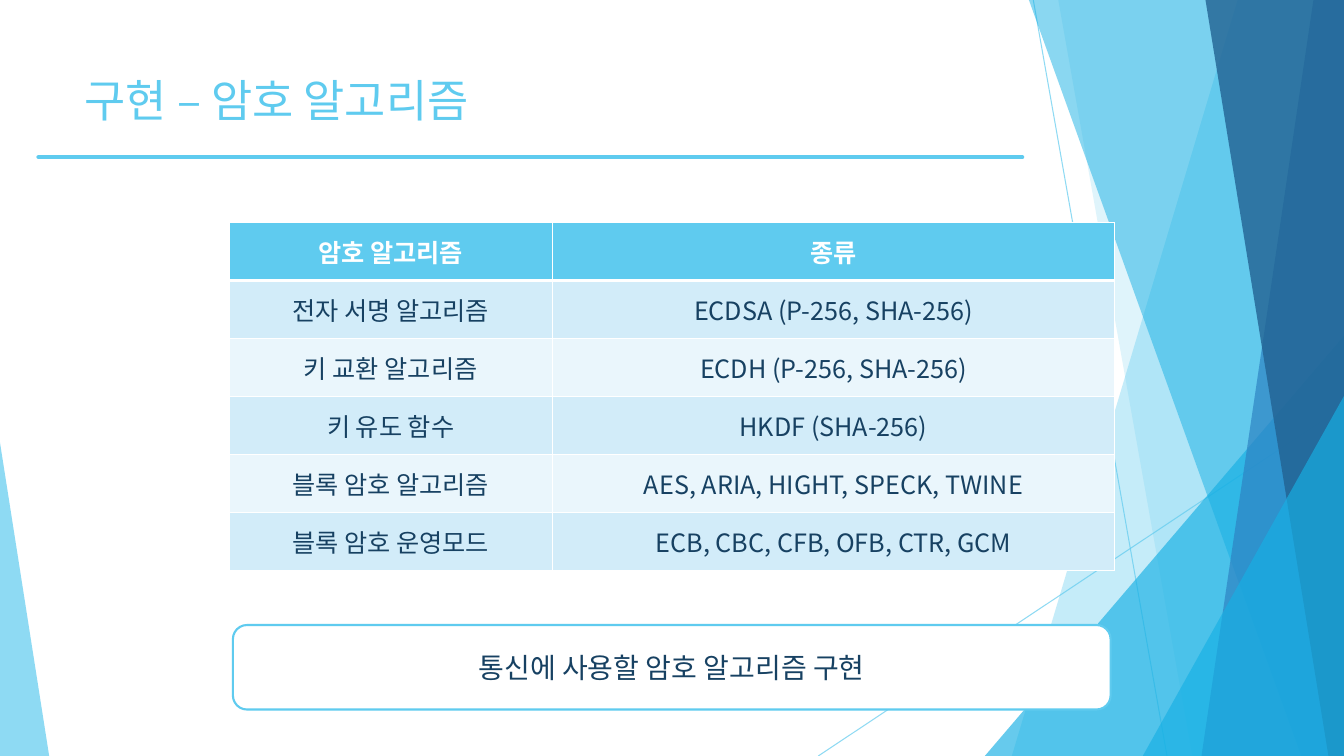
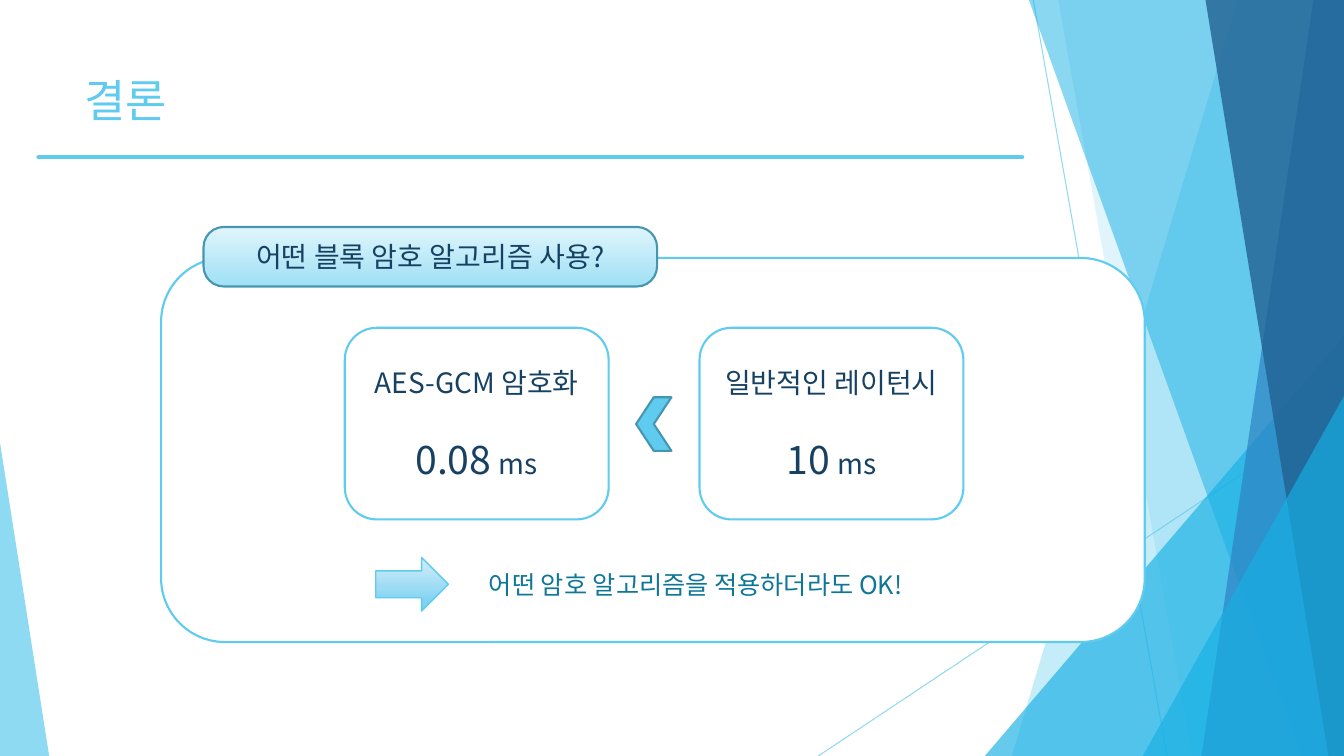
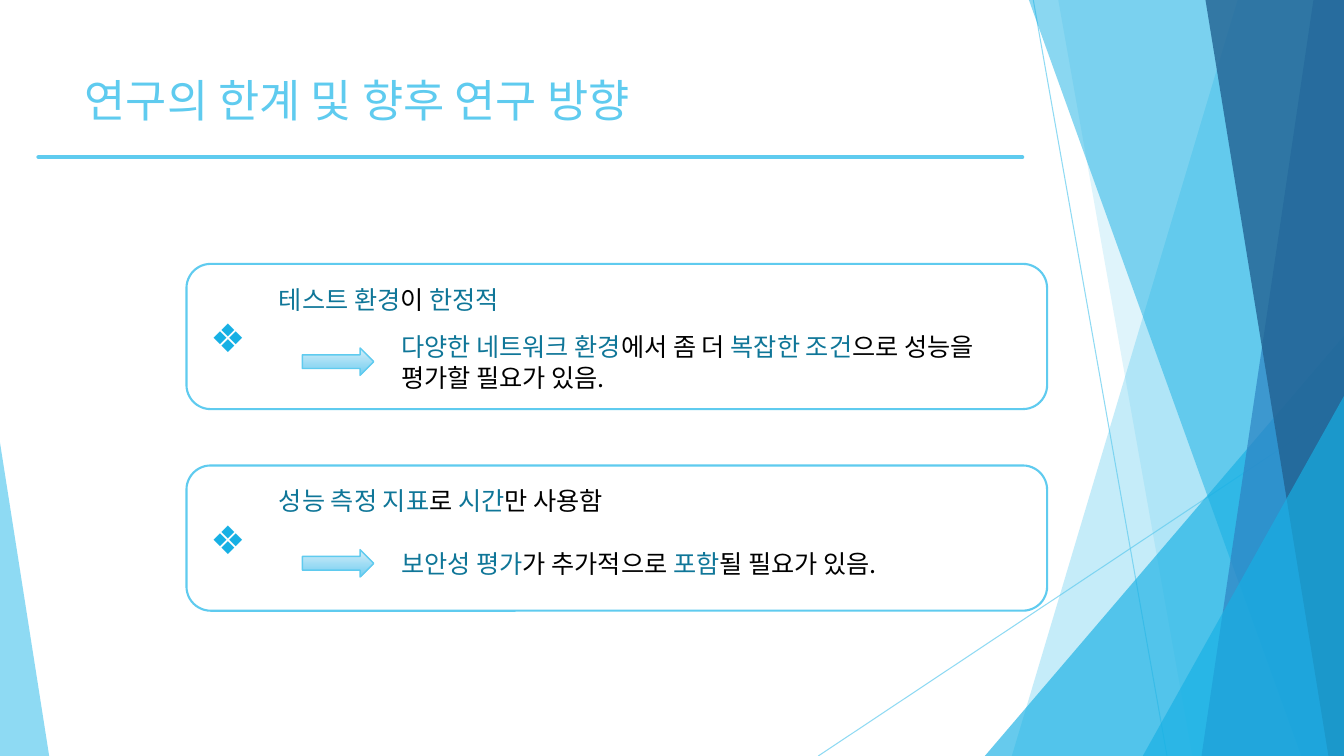
from lxml import etree
from pptx import Presentation
from pptx import util as u
from pptx.dml.color import RGBColor
from pptx.enum import shapes, text
from pptx.oxml.ns import qn

FONT = "Noto Sans CJK KR"
SKY, CYAN, NAVY, TEAL = "5FCBEF", "17B0E4", "174162", "0F7698"
WHITE, BLACK, EDGE = "FFFFFF", "000000", "4696B1"
ARROW_FILL = [(0, "D4EEF9"), (0.88, "7DD1F1")]
TAG_FILL = [(0, "DFF5FC"), (1, "9FE0F5")]
WIDTH, HEIGHT = 33.87, 19.05
S = shapes.MSO_SHAPE


def rgb(code):
    """Turn a hex string into a colour."""
    return RGBColor.from_string(code)


def cm(*values):
    """Turn numbers into centimetre lengths."""
    return [u.Cm(v) for v in values]


def set_alpha(sp, percent):
    """Make every colour of a shape partly transparent."""
    for clr in sp.element.spPr.iter(qn("a:srgbClr")):
        etree.SubElement(clr, qn("a:alpha")).set("val", str(percent * 1000))


def set_font(font, size=None, color=None, name=None, bold=None):
    """Set the given font properties, for Latin and Hangul alike."""
    if size:
        font.size = u.Pt(size)
    if color:
        font.color.rgb = rgb(color)
    if bold is not None:
        font.bold = bold
    if name:
        font.name = name
        etree.SubElement(font._element, qn("a:ea")).set("typeface", name)


def write(p, content, size, color=None, name=FONT, bold=None, align=None):
    """Fill a paragraph with a string or with (text, font options) runs."""
    p.alignment = align
    set_font(p.font, size, color, name, bold)
    runs = [(content, {})] if isinstance(content, str) else content
    for words, options in runs:
        r = p.add_run()
        r.text = words
        set_font(r.font, **options)


def paint(sp, fill, line=None, weight=1.5):
    """Give a shape a solid or gradient fill and an outline."""
    sp.shadow.inherit = False
    if isinstance(fill, str):
        sp.fill.solid()
        sp.fill.fore_color.rgb = rgb(fill)
    else:
        sp.fill.gradient()
        sp.fill.gradient_angle = 270
        for stop, (position, color) in zip(sp.fill.gradient_stops, fill):
            stop.position = position
            stop.color.rgb = rgb(color)
    if line:
        sp.line.color.rgb = rgb(line)
        sp.line.width = u.Pt(weight)
    else:
        sp.line.fill.background()
    return sp


def add_preset(s, kind, box, fill, line=None, weight=1.5, adj=None):
    """Add a preset shape."""
    sp = paint(s.shapes.add_shape(kind, *cm(*box)), fill, line, weight)
    if adj is not None:
        sp.adjustments[0] = adj
    return sp


def add_card(s, box, content=None, fill=WHITE, line=SKY, adj=None):
    """Add a rounded box with an optional centred text."""
    sp = add_preset(s, S.ROUNDED_RECTANGLE, box, fill, line, adj=adj)
    if content:
        write(sp.text_frame.paragraphs[0], content, 20, NAVY, align=text.PP_ALIGN.CENTER)
    return sp


def add_text(s, box, content, size=18, color=None, name=FONT, anchor=text.MSO_ANCHOR.TOP):
    """Add a text box with one paragraph."""
    tf = s.shapes.add_textbox(*cm(*box)).text_frame
    tf.word_wrap = True
    tf.vertical_anchor = anchor
    write(tf.paragraphs[0], content, size, color, name)


def add_line(s, ends, weight):
    """Add a straight sky-blue line."""
    line = s.shapes.add_connector(shapes.MSO_CONNECTOR.STRAIGHT, *cm(*ends))
    line.line.color.rgb = rgb(SKY)
    line.line.width = u.Pt(weight)
    etree.SubElement(line.element.spPr, qn("a:effectLst"))
    return line


def add_facet(s, top_x, bottom_x, color, alpha):
    """Add a see-through facet that reaches the right edge of the slide."""
    builder = s.shapes.build_freeform(*cm(top_x, 0))
    corners = [(WIDTH, 0), (WIDTH, HEIGHT), (bottom_x, HEIGHT)]
    builder.add_line_segments([cm(*corner) for corner in corners])
    set_alpha(paint(builder.convert_to_shape(), color), alpha)


def add_wedge(s, box, adj, color, alpha):
    """Add a see-through triangle."""
    set_alpha(add_preset(s, S.ISOSCELES_TRIANGLE, box, color, adj=adj), alpha)


def build_layout(layout, s):
    """Draw the shared decoration on a slide and move it to its layout."""
    for ends in [(26.04, 0, 29.41, HEIGHT), (WIDTH, 10.24, 20.62, HEIGHT)]:
        set_alpha(add_line(s, ends, 0.75), 70)
    add_facet(s, 31.19, 25.5, SKY, 36)
    add_facet(s, 26.67, 30.05, SKY, 20)
    add_wedge(s, (24.82, 8.46, 9.05, 10.59), 1, CYAN, 66)
    add_facet(s, 25.93, 32.79, CYAN, 50)
    add_facet(s, 33.1, 30.28, "2E83C3", 70)
    add_facet(s, 30.38, 33.48, "226292", 80)
    add_wedge(s, (28.8, 9.98, 5.07, 9.07), 1, CYAN, 66)
    add_wedge(s, (0, 11.15, 1.24, 7.9), 0, SKY, 70)
    rule = add_line(s, (0.97, 3.96, 25.76, 3.96), 3)
    rule.line._get_or_add_ln().set("cap", "rnd")
    decoration = [sp for sp in s.shapes if not sp.is_placeholder]
    for i, sp in enumerate(decoration):
        layout.shapes.element.insert(2 + i, sp.element)
    title = layout.placeholders[0]
    title.left, title.top, title.width, title.height = cm(1.88, 1.7, 23.88, 2.1)


def set_title(s, words):
    """Write the slide title."""
    tf = s.shapes.title.text_frame
    tf.vertical_anchor = text.MSO_ANCHOR.TOP
    tf.auto_size = text.MSO_AUTO_SIZE.NONE
    write(tf.paragraphs[0], words, 32, SKY, align=text.PP_ALIGN.LEFT)


def set_borders(cell, **widths):
    """Give a cell white borders, in points by side."""
    tcPr = cell._tc.get_or_add_tcPr()
    for i, side in enumerate("LRTB"):
        ln = etree.Element(qn("a:ln" + side), w=str(u.Pt(widths.get(side, 1))))
        fill = etree.SubElement(ln, qn("a:solidFill"))
        etree.SubElement(fill, qn("a:srgbClr")).set("val", WHITE)
        tcPr.insert(i, ln)


def add_grid(s, left, top, col_widths, row_height, rows):
    """Add a banded table with a header row."""
    box = cm(left, top, sum(col_widths), row_height * len(rows))
    table = s.shapes.add_table(len(rows), len(col_widths), *box).table
    for column, width in zip(table.columns, col_widths):
        column.width = u.Cm(width)
    for i, row in enumerate(rows):
        table.rows[i].height = u.Cm(row_height)
        header = i == 0
        for cell, words in zip(table.rows[i].cells, row):
            cell.fill.solid()
            cell.fill.fore_color.rgb = rgb(SKY if header else ("EAF6FC", "D2ECF9")[i % 2])
            cell.vertical_anchor = text.MSO_ANCHOR.MIDDLE
            set_borders(cell, T=3 if i == 1 else 1, B=3 if header else 1)
            write(cell.text_frame.paragraphs[0], words, 18, WHITE if header else NAVY,
                  bold=header, align=text.PP_ALIGN.CENTER)


def add_latency(s, left, label, value):
    """Add a card with a label and a time in milliseconds."""
    p = add_card(s, (left, 8.26, 6.65, 4.83), label).text_frame.add_paragraph()
    p.space_before = u.Pt(26)
    write(p, [(value, {"size": 28}), (" ", {"size": 24}), ("ms", {})], 20, NAVY,
          align=text.PP_ALIGN.CENTER)


def add_arrow(s, box):
    """Add a shaded arrow pointing right."""
    add_preset(s, S.RIGHT_ARROW, box, ARROW_FILL, SKY, 1)


def accent(*parts):
    """Colour parts teal and black in turn."""
    return [(part, {"color": (TEAL, BLACK)[i % 2]}) for i, part in enumerate(parts)]


def add_limit(s, top, limit, plan):
    """Add a card with a limitation and the work that follows from it."""
    add_card(s, (4.7, top, 21.69, 3.66))
    add_arrow(s, (7.62, top + 2.12, 1.8, 0.69))
    add_text(s, (6.78, top + 0.38, 14.99, 1.02), limit)
    add_text(s, (9.86, top + 1.57, 15.67, 1.8), plan, anchor=text.MSO_ANCHOR.MIDDLE)
    add_text(s, (5.05, top + 1.12, 1.4, 1.45), "❖", 28, CYAN, "Cabin")


def build_algorithms(s):
    """Build the slide on the algorithms in use."""
    set_title(s, "구현 – 암호 알고리즘")
    add_grid(s, 5.77, 5.61, (8.15, 14.17), 1.46, [
        ("암호 알고리즘", "종류"),
        ("전자 서명 알고리즘", "ECDSA (P-256, SHA-256)"),
        ("키 교환 알고리즘", "ECDH (P-256, SHA-256)"),
        ("키 유도 함수", "HKDF (SHA-256)"),
        ("블록 암호 알고리즘", "AES, ARIA, HIGHT, SPECK, TWINE"),
        ("블록 암호 운영모드", "ECB, CBC, CFB, OFB, CTR, GCM"),
    ])
    add_card(s, (5.87, 15.75, 22.12, 2.13), "통신에 사용할 암호 알고리즘 구현")


def build_conclusion(s):
    """Build the slide with the conclusion."""
    set_title(s, "결론")
    add_card(s, (4.06, 6.5, 24.79, 9.68))
    add_card(s, (5.13, 5.72, 11.43, 1.5), "어떤 블록 암호 알고리즘 사용?", TAG_FILL, EDGE, 0.34)
    chevron = add_preset(s, S.CHEVRON, (16.03, 10.01, 0.89, 1.35), SKY, EDGE)
    chevron.rotation = 180
    add_latency(s, 8.69, "AES-GCM 암호화", "0.08")
    add_latency(s, 17.63, "일반적인 레이턴시", "10")
    add_arrow(s, (9.47, 14.05, 1.83, 1.35))
    add_text(s, (12.07, 14.22, 11.4, 1.02), "어떤 암호 알고리즘을 적용하더라도 OK!", color=TEAL)


def build_limits(s):
    """Build the slide on limitations and future work."""
    set_title(s, "연구의 한계 및 향후 연구 방향")
    add_limit(s, 6.65, accent("테스트 환경", "이 ", "한정적"),
              accent("다양한 네트워크 환경", "에서 좀 더 ", "복잡한 조건",
                     "으로 성능을 평가할 필요가 있음."))
    add_limit(s, 11.73, accent("성능 측정 지표", "로 ", "시간", "만 사용함"),
              accent("보안성 평가", "가 추가적으로 ", "포함", "될 필요가 있음."))


def main():
    """Build the presentation."""
    prs = Presentation()
    prs.slide_width, prs.slide_height = cm(WIDTH, HEIGHT)
    layout = prs.slide_layouts[5]
    builders = [build_algorithms, build_conclusion, build_limits]
    slides = [prs.slides.add_slide(layout) for _ in builders]
    build_layout(layout, slides[0])
    for build, s in zip(builders, slides):
        build(s)
    prs.save("out.pptx")


if __name__ == "__main__":
    main()
